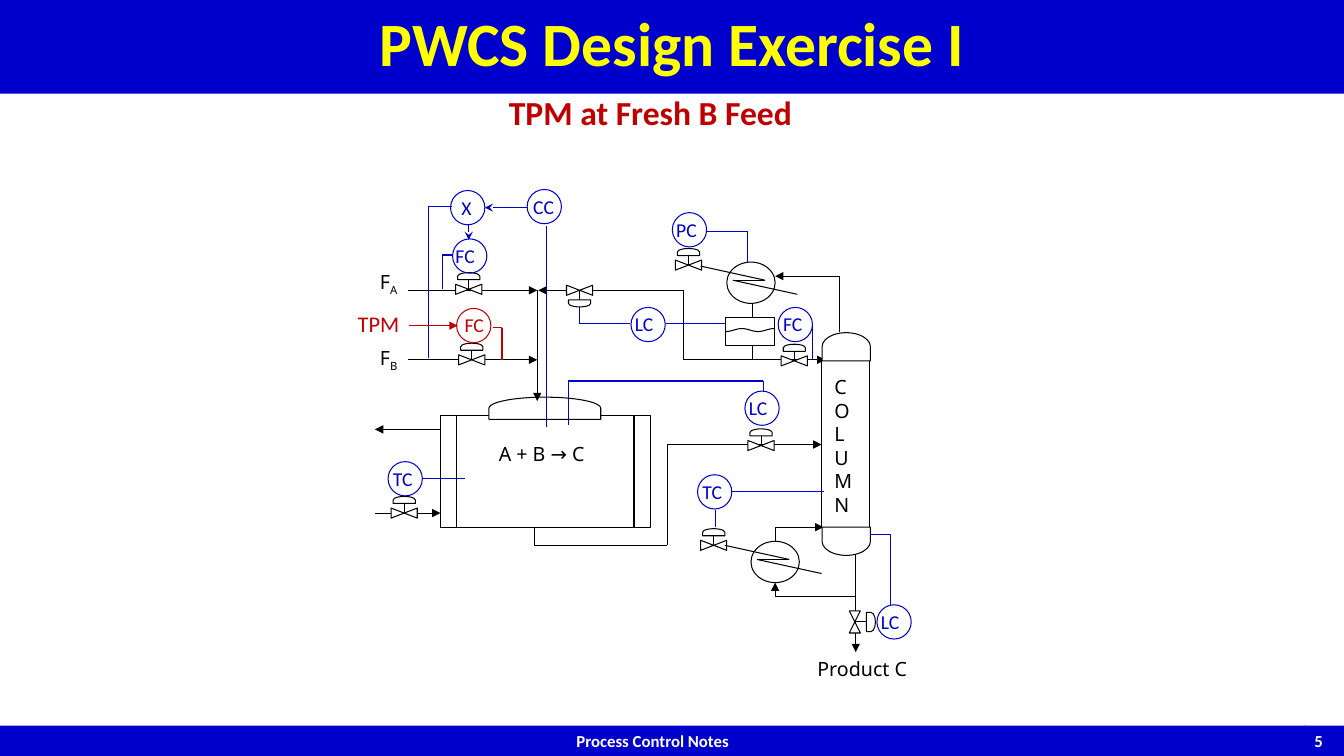
import math

import pptx
import pptx.dml.color
import pptx.enum.shapes
import pptx.enum.text
import pptx.util
from pptx.oxml.xmlchemy import OxmlElement

BLACK, WHITE, BLUE, RED, YELLOW = "000000", "FFFFFF", "0000CC", "C00000", "FFFF00"
MSO = pptx.enum.shapes.MSO_SHAPE
ALIGN = pptx.enum.text.PP_ALIGN
WIDTH, HEIGHT = 133.33, 75

PIPES = [
    ([(53, 52.3), (53, 54.1), (66.2, 54.1), (66.2, 44.1), (81.5, 44.1)], "triangle"),
    ([(37.2, 50.9), (43.7, 50.9)], "triangle"),
    ([(43.7, 42.6), (37.2, 42.6)], "triangle"),
    ([(40.5, 28.8), (53.3, 28.8)], "triangle"),
    ([(40.5, 35.7), (53.3, 35.7)], "triangle"),
    ([(53.3, 28.8), (53.3, 35.7), (53.3, 39.8)], "triangle"),
    ([(67.8, 35.7), (81.9, 35.7)], "triangle"),
    ([(67.8, 35.7), (67.8, 28.8), (53.4, 28.8)], "triangle"),
    ([(83.3, 32.9), (83.3, 27.4), (76.9, 27.4)], "triangle"),
    ([(74.7, 30.1), (74.7, 31.5)], None),
    ([(74.7, 34.3), (74.7, 35.7)], None),
    ([(84.9, 55.1), (84.9, 64.7)], "triangle"),
    ([(84.9, 59.2), (76.9, 59.2), (76.9, 57.8)], "triangle"),
    ([(76.9, 53.7), (76.9, 52.3), (81.7, 52.3)], "triangle"),
]

VALVES = [(46.5, 28.7), (46.8, 35.7), (40.1, 50.9), (75.5, 44.2),
          (78.8, 35.8), (68.3, 26.3), (70.8, 54.1)]

SIGNALS = [
    ([(74.2, 26), (74.2, 23), (70, 23)], None),
    ([(86.3, 53), (88.3, 53), (88.3, 60)], None),
    ([(81.7, 48.8), (72.6, 48.8)], None),
    ([(71, 50.6), (71, 52.3)], None),
    ([(80.6, 35.6), (80.6, 32.3)], None),
    ([(57.5, 30.5), (57.5, 32.1), (62.5, 32.1)], None),
    ([(66.1, 32.1), (71.9, 32.1)], None),
    ([(46.1, 47.5), (41.9, 47.5)], None),
    ([(54.2, 42.4), (54.2, 22.4)], None),
    ([(52.3, 20.6), (48.1, 20.6)], "stealth"),
    ([(43.9, 28.7), (43.9, 25.3), (44.8, 25.3)], None),
    ([(42.5, 35.5), (42.5, 20.5), (44.8, 20.5)], None),
    ([(46.5, 22.2), (46.5, 23.8)], "stealth"),
    ([(56.4, 42.2), (56.4, 37.8), (75.7, 37.8), (75.7, 38.9)], None),
]

TPM_SIGNALS = [
    ([(49.8, 35.7), (49.8, 32.5), (48.9, 32.5)], None),
    ([(40.6, 32.3), (45.4, 32.3)], "triangle"),
]

CONTROLLERS = [
    ("PC", 66.7, 21.1, -0.6, BLUE), ("LC", 87, 60, -0.6, BLUE),
    ("TC", 69.2, 47.1, -0.5, BLUE), ("FC", 77.2, 30.5, -0.5, BLUE),
    ("LC", 62.6, 30.5, -0.6, BLUE), ("TC", 38.5, 45.8, -0.5, BLUE),
    ("CC", 52.3, 18.8, -0.4, BLUE), ("FC", 44.9, 23.7, -0.7, BLUE),
    ("X", 44.7, 18.9, 0.1, BLUE), ("LC", 73.9, 38.8, -0.6, BLUE),
    ("FC", 45.3, 30.6, -0.2, RED),
]


def grid(n):
    """Turn grid units, ten to the inch, into a length."""
    return pptx.util.Inches(n / 10)


def rgb(value):
    """Turn a hex string into a colour."""
    return pptx.dml.color.RGBColor.from_string(value)


def write(sp, lines, size, color, font="Noto Sans", bold=False, align=ALIGN.LEFT):
    """Fill a shape with paragraphs; an underscore starts a subscript."""
    tf = sp.text_frame
    for i, line in enumerate(lines):
        p = tf.add_paragraph() if i else tf.paragraphs[0]
        p.alignment = align
        p.font.size, p.font.name, p.font.bold = pptx.util.Pt(size), font, bold
        p.font.color.rgb = rgb(color)
        base, _, sub = line.partition("_")
        p.add_run().text = base
        if sub:
            r = p.add_run()
            r.text = sub
            r.font._element.set("baseline", "-25000")
    return tf


def label(s, x, y, w, h, lines, size=14, color=BLACK, wrap=True, **style):
    """Add a text box."""
    sp = s.shapes.add_textbox(grid(x), grid(y), grid(w), grid(h))
    write(sp, lines, size, color, **style).word_wrap = wrap


def paint(sp, fill, line):
    """Set fill and outline, where None means neither."""
    sp.shadow.inherit = False
    if fill:
        sp.fill.solid()
        sp.fill.fore_color.rgb = rgb(fill)
    else:
        sp.fill.background()
    if line:
        sp.line.color.rgb = rgb(line)
        sp.line.width = pptx.util.Pt(0.75)
    else:
        sp.line.fill.background()


def box(s, kind, x, y, w, h, fill=WHITE, line=BLACK):
    """Add a preset shape by its top left corner."""
    sp = s.shapes.add_shape(kind, grid(x), grid(y), grid(w), grid(h))
    paint(sp, fill, line)
    return sp


def turned(s, kind, cx, cy, w, h, angle):
    """Add a rotated preset shape by its centre."""
    box(s, kind, cx - w / 2, cy - h / 2, w, h).rotation = angle


def route(s, points, head=None, color=BLACK):
    """Join points with lines, the last one carrying the arrowhead."""
    for i, (a, b) in enumerate(zip(points, points[1:]), 2):
        c = s.shapes.add_connector(pptx.enum.shapes.MSO_CONNECTOR.STRAIGHT,
                                   *[grid(n) for n in a + b])
        c.line.color.rgb = rgb(color)
        c.line.width = pptx.util.Pt(0.75)
        if head and i == len(points):
            end = OxmlElement("a:tailEnd")
            end.set("type", head)
            c.line._get_or_add_ln().append(end)
        c._element.spPr.append(OxmlElement("a:effectLst"))


def valve(s, x, y, angle=270, body=(1, 2.6), cap=(0.7, 2.2), reach=1.3):
    """Add a control valve whose actuator points along the angle."""
    dx, dy = math.cos(math.radians(angle)), math.sin(math.radians(angle))
    stem = reach - cap[0] / 2
    turned(s, MSO.FLOWCHART_COLLATE, x, y, *body, angle)
    turned(s, MSO.FLOWCHART_DELAY, x + reach * dx, y + reach * dy, *cap, angle)
    route(s, [(x, y), (x + stem * dx, y + stem * dy)])


def exchanger(s, x, y):
    """Add a heat exchanger with its zigzag."""
    box(s, MSO.OVAL, x, y, 4.8, 4.1)
    zigzag = [(-2.6, 0.4), (3.8, 1.8), (0.6, 1.8), (7, 3.2)]
    route(s, [(x + dx, y + dy) for dx, dy in zigzag])


def controller(s, tag, x, y, shift, color):
    """Add a controller circle with its tag."""
    box(s, MSO.OVAL, x, y, 3.4, 3.4, None, color)
    label(s, x + shift, y, 2 + 1.4 * len(tag), 3.4, [tag],
          color=color, wrap=False, font="Calibri")


def reactor(s):
    """Add the jacketed reactor."""
    box(s, MSO.RECTANGLE, 45.3, 41.2, 17.6, 11.1)
    turned(s, MSO.FLOWCHART_DELAY, 54.05, 40.5, 2.2, 11.1, 270)
    label(s, 48.5, 43.3, 12.8, 11.1, ["A + B → C"])
    for x in (43.7, 62.9):
        box(s, MSO.RECTANGLE, x, 41.2, 1.6, 11.1)


def drum(s, x, y, w, h):
    """Add the reflux drum with its wavy level."""
    box(s, MSO.RECTANGLE, x, y, w, h)
    wave = [(grid(x + w * t / 24), grid(y + 1.25 + 0.15 * math.cos(math.pi * t / 8)))
            for t in range(25)]
    fb = s.shapes.build_freeform(*wave[0])
    fb.add_line_segments(wave[1:], close=False)
    paint(fb.convert_to_shape(), None, BLACK)


def column(s):
    """Add the distillation column."""
    box(s, MSO.RECTANGLE, 81.5, 35.7, 4.8, 16.6)
    for y, angle in ((34.4, 270), (53.7, 90)):
        turned(s, MSO.FLOWCHART_DELAY, 83.95, y, 2.8, 4.8, angle)
    label(s, 81.8, 36.7, 4.8, 13.8, list("COLUMN"))


def frame(s):
    """Add the title, the subtitle and the footer."""
    bands = [(0, 72, 129.5, 3, "Process Control Notes", 12, WHITE, ALIGN.CENTER),
             (129.4, 72, WIDTH - 129.4, 3, "5", 12, WHITE, ALIGN.LEFT),
             (0, 0, WIDTH, 9.3, "PWCS Design Exercise I", 44, YELLOW, ALIGN.CENTER)]
    for x, y, w, h, text, size, color, align in bands:
        sp = box(s, MSO.RECTANGLE, x, y, w, h, BLUE, None)
        tf = write(sp, [text], size, color, "Calibri", True, align)
        tf.vertical_anchor = pptx.enum.text.MSO_ANCHOR.MIDDLE
    tf.paragraphs[0].line_spacing = 0.9
    label(s, 49.5, 8.6, 30.4, 5, ["TPM at Fresh B Feed"], 24, RED,
          wrap=False, font="Calibri", bold=True)


def main():
    """Build the slide and save it."""
    prs = pptx.Presentation()
    prs.slide_width, prs.slide_height = grid(WIDTH), grid(HEIGHT)
    s = prs.slides.add_slide(prs.slide_layouts[6])
    frame(s)
    reactor(s)
    for points, head in PIPES:
        route(s, points, head)
    for x, y in VALVES:
        valve(s, x, y)
    valve(s, 57.5, 28.8, 90)
    valve(s, 84.8, 61.7, 0, (1.1, 2.2), (0.9, 1.9), 1.6)
    drum(s, 72, 31.5, 4.8, 2.8)
    exchanger(s, 72.1, 26)
    exchanger(s, 74.5, 53.7)
    column(s)
    label(s, 36.7, 26.3, 5.1, 4.2, ["F_A"])
    label(s, 36.7, 33.8, 6.3, 4.1, ["F_B"])
    label(s, 80.1, 64.7, 11.2, 3.2, ["Product C"])
    label(s, 34.5, 30.3, 6.2, 3.7, ["TPM"], 16, RED, wrap=False, font="Calibri")
    for color, signals in ((BLUE, SIGNALS), (RED, TPM_SIGNALS)):
        for points, head in signals:
            route(s, points, head, color)
    for tag in CONTROLLERS:
        controller(s, *tag)
    prs.save("out.pptx")


main()
